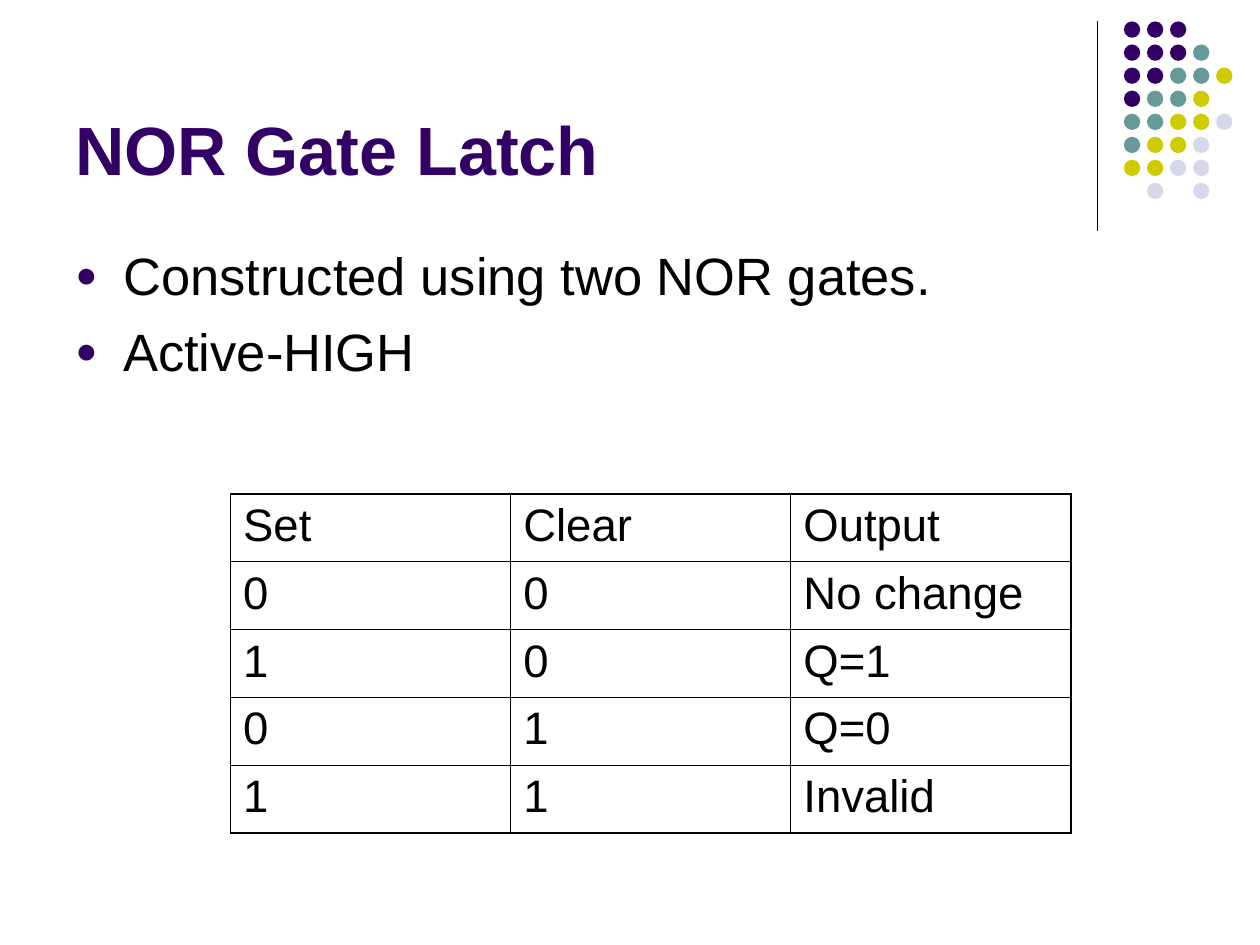
from lxml.etree import SubElement as Sub
from pptx import Presentation
from pptx.dml.color import RGBColor as Rgb
from pptx.enum.shapes import MSO_CONNECTOR as Link, MSO_SHAPE as Kind
from pptx.enum.text import MSO_ANCHOR as Anchor
from pptx.oxml import parse_xml
from pptx.oxml.ns import nsdecls, qn
from pptx.util import Inches, Pt

# Content
TITLE = "NOR Gate Latch"
POINTS = ["Constructed using two NOR gates.", "Active-HIGH"]
TABLE = [
    ("Set", "Clear", "Output"),
    ("0", "0", "No change"),
    ("1", "0", "Q=1"),
    ("0", "1", "Q=0"),
    ("1", "1", "Invalid"),
]
# One letter per dot, keyed to COLORS; a space leaves a gap
DOTS = ["PPP", "PPPT", "PPTTY", "PTTY", "TTYYL", "TYYL", "YYLL", " L L"]

# Format
COLORS = {"P": "330066", "T": "669999", "Y": "CCCC00", "L": "D8D8EC",
          "ink": "000000"}
FONTS = {
    "title": {"name": "Arial", "size": Pt(39), "bold": True},
    "body": {"name": "Arial", "size": Pt(30), "bold": False},
    "cell": {"name": "Arial", "size": Pt(26), "bold": False},
}
THICK, THIN = Pt(1.08), Pt(0.45)

# Places: left, top, width, height in percent of the slide
WIDE, HIGH = Inches(10), Inches(7.5)
AREAS = {
    "title": (5, 1.73, 82.5, 18.93),
    "body": (5, 25.07, 90, 64.27),
    "table": (18.3, 52.27, 66.7, 35.9),
    "rule": (87.1, 2.27, 0, 22.13),
    "dots": (89.2, 2.27, 9.15, 19.52),
}
DOT = Inches(0.13)


def place(name):
    return [int(part * full / 100)
            for part, full in zip(AREAS[name], (WIDE, HIGH, WIDE, HIGH))]


def style(font, name, color):
    for key, value in FONTS[name].items():
        setattr(font, key, value)
    font.color.rgb = Rgb.from_string(COLORS[color])


def add_box(name, anchor):
    frame = slide.shapes.add_textbox(*place(name)).text_frame
    frame.word_wrap = True
    frame.vertical_anchor = anchor
    return frame


def add_bullet(para):
    props = para._p.get_or_add_pPr()
    props.set("marL", str(Inches(0.38)))
    props.set("indent", str(-Inches(0.38)))
    tint = Sub(props, qn("a:buClr"))
    Sub(tint, qn("a:srgbClr"), val=COLORS["P"])
    Sub(props, qn("a:buSzPct"), val="70000")
    Sub(props, qn("a:buFont"), typeface="Arial")
    Sub(props, qn("a:buChar"), char="●")


def add_edges(cell, widths):
    props = cell._tc.get_or_add_tcPr()
    for spot, (side, width) in enumerate(zip("LRTB", widths)):
        props.insert(spot, parse_xml(
            f'<a:ln{side} {nsdecls("a")} w="{width}"><a:solidFill>'
            f'<a:srgbClr val="{COLORS["ink"]}"/></a:solidFill></a:ln{side}>'))


deck = Presentation()
deck.slide_width, deck.slide_height = WIDE, HIGH
slide = deck.slides.add_slide(deck.slide_layouts[6])

# Corner rule
x, y, w, h = place("rule")
rule = slide.shapes.add_connector(Link.STRAIGHT, x, y, x + w, y + h)
rule.line.color.rgb = Rgb.from_string(COLORS["ink"])
rule.line.width = Pt(0.75)
Sub(rule._element.spPr, qn("a:effectLst"))

# Dot grid
x, y, w, h = place("dots")
step_x, step_y = w // 5, h // len(DOTS)
group = slide.shapes.add_group_shape()
for row, marks in enumerate(DOTS):
    for col, mark in enumerate(marks):
        if mark == " ":
            continue
        dot = group.shapes.add_shape(
            Kind.OVAL, x + col * step_x, y + row * step_y, DOT, DOT)
        dot.shadow.inherit = False
        dot.fill.solid()
        dot.fill.fore_color.rgb = Rgb.from_string(COLORS[mark])
        dot.line.fill.background()

# Title
para = add_box("title", Anchor.BOTTOM).paragraphs[0]
para.text = TITLE
style(para.font, "title", "P")

# Bullet points
frame = add_box("body", Anchor.TOP)
for num, point in enumerate(POINTS):
    para = frame.add_paragraph() if num else frame.paragraphs[0]
    para.text = point
    if num:
        para.space_before = Pt(7.5)
    add_bullet(para)
    style(para.font, "body", "ink")

# Truth table
rows, cols = len(TABLE), len(TABLE[0])
grid = slide.shapes.add_table(rows, cols, *place("table")).table
grid.first_row = grid.horz_banding = False
for row, words in enumerate(TABLE):
    for col, word in enumerate(words):
        cell = grid.cell(row, col)
        cell.text = word
        cell.fill.background()
        style(cell.text_frame.paragraphs[0].font, "cell", "ink")
        outer = (col == 0, col == cols - 1, row == 0, row == rows - 1)
        add_edges(cell, [THICK if edge else THIN for edge in outer])

deck.save("out.pptx")
